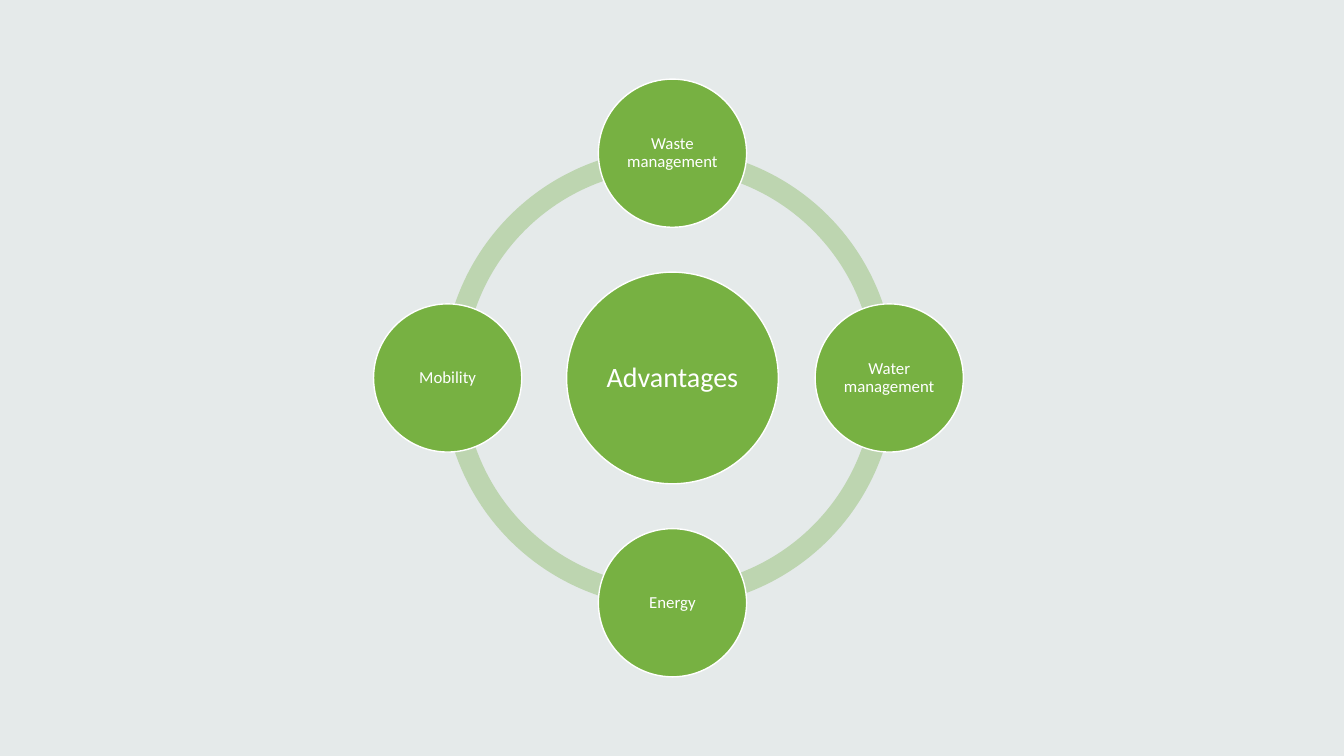
from pptx import Presentation
from pptx.dml.color import RGBColor
from pptx.enum import shapes, text
from pptx.util import Inches, Pt

BACKGROUND = RGBColor(0xE5, 0xEA, 0xEA)
GREEN = RGBColor(0x77, 0xB1, 0x42)
PALE_GREEN = RGBColor(0xBD, 0xD5, 0xB0)
WHITE = RGBColor(0xFF, 0xFF, 0xFF)

MIDDLE_X, MIDDLE_Y = 6.67, 3.75
RING_SIZE, RING_THICKNESS = 4.56, 0.046
HUB_SIZE, TOPIC_SIZE = 2.1, 1.47

# Ring quarters: centre x, start and end angle (degrees clockwise from the right)
QUARTERS = [
    (6.67, 180, 270),
    (6.67, 90, 180),
    (6.6, 359.97, 88.2),
    (6.6, 271.8, 0.03),
]

# Topics: label, centre x, centre y
TOPICS = [
    ("Waste management", MIDDLE_X, 1.52),
    ("Water management", 8.82, MIDDLE_Y),
    ("Energy", MIDDLE_X, 5.98),
    ("Mobility", 4.44, MIDDLE_Y),
]


def add_centred(slide, kind, x, y, size, fill):
    """Add a square-bounded shape around the point (x, y)."""
    shape = slide.shapes.add_shape(
        kind, Inches(x - size / 2), Inches(y - size / 2), Inches(size), Inches(size))
    shape.shadow.inherit = False
    shape.fill.solid()
    shape.fill.fore_color.rgb = fill
    return shape


def add_quarter(slide, x, start, end):
    quarter = add_centred(
        slide, shapes.MSO_SHAPE.BLOCK_ARC, x, MIDDLE_Y, RING_SIZE, PALE_GREEN)
    quarter.line.fill.background()
    # Angles are stored in 60000ths of a degree, adjustments in 100000ths
    for index, value in enumerate((start * 0.6, end * 0.6, RING_THICKNESS)):
        quarter.adjustments[index] = value


def add_circle(slide, label, x, y, size, font_size, inset):
    circle = add_centred(slide, shapes.MSO_SHAPE.OVAL, x, y, size, GREEN)
    circle.line.color.rgb = WHITE
    circle.line.width = Pt(1)

    frame = circle.text_frame
    frame_format = {
        "word_wrap": True,
        "vertical_anchor": text.MSO_ANCHOR.MIDDLE,
        "margin_left": Inches(inset),
        "margin_right": Inches(inset),
        "margin_top": Inches(inset),
        "margin_bottom": Inches(inset),
    }
    for name, value in frame_format.items():
        setattr(frame, name, value)

    paragraph = frame.paragraphs[0]
    paragraph.alignment = text.PP_ALIGN.CENTER
    paragraph.line_spacing = 0.9
    run = paragraph.add_run()
    run.text = label
    run.font.name = "Calibri"
    run.font.size = Pt(font_size)
    run.font.color.rgb = WHITE


def main():
    deck = Presentation()
    deck.slide_width, deck.slide_height = Inches(13.33), Inches(7.5)
    slide = deck.slides.add_slide(deck.slide_layouts[6])
    slide.background.fill.solid()
    slide.background.fill.fore_color.rgb = BACKGROUND

    # Ring behind the circles
    for x, start, end in QUARTERS:
        add_quarter(slide, x, start, end)

    # Hub and surrounding topics
    add_circle(slide, "Advantages", MIDDLE_X, MIDDLE_Y, HUB_SIZE, 20, 0.03)
    for label, x, y in TOPICS:
        add_circle(slide, label, x, y, TOPIC_SIZE, 12, 0.02)

    deck.save("out.pptx")


if __name__ == "__main__":
    main()
